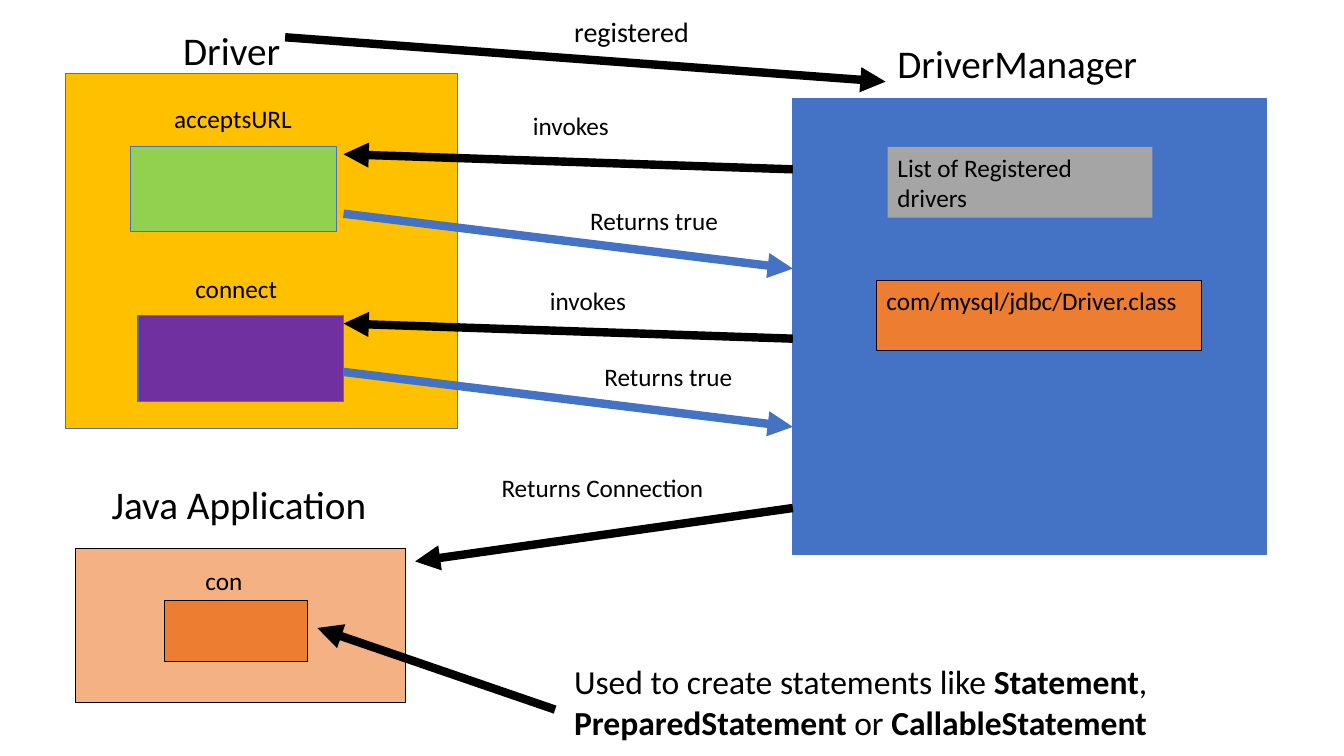
from lxml import etree
from pptx import Presentation
from pptx.dml.color import RGBColor
from pptx.enum.shapes import MSO_CONNECTOR, MSO_SHAPE
from pptx.enum.text import MSO_ANCHOR, PP_ALIGN
from pptx.oxml.ns import qn
from pptx.util import Inches, Pt

RECTANGLE = MSO_SHAPE.RECTANGLE
STRAIGHT = MSO_CONNECTOR.STRAIGHT
TOP, LEFT = MSO_ANCHOR.TOP, PP_ALIGN.LEFT

BLACK, BLUE, ORANGE = "000000", "4472C4", "ED7D31"
CELL = Inches(0.1)  # one column or row of the grid
HEADING, NOTE, STEP, LABEL = 28, 24, 20, 18


def color(hex_code):
    return RGBColor.from_string(hex_code)


def write(frame, *runs, size=LABEL, fill=BLACK, font="Calibri"):
    """Write runs into a frame; a run given as a tuple is bold."""
    frame.word_wrap = True
    frame.vertical_anchor = TOP
    paragraph = frame.paragraphs[0]
    paragraph.alignment = LEFT
    for part in runs:
        bold = isinstance(part, tuple)
        run = paragraph.add_run()
        run.text = part[0] if bold else part
        run.font.name, run.font.size, run.font.bold = font, Pt(size), bold
        run.font.color.rgb = color(fill)


class Diagram:
    def __init__(self, slide, cell=CELL, arrow_width=6, border_width=0.75):
        self.shapes = slide.shapes
        self.cell = cell
        self.arrow_width = Pt(arrow_width)
        self.border_width = Pt(border_width)

    def grid(self, *cells):
        return [round(count * self.cell) for count in cells]

    def box(self, place, fill, border=None, text=None):
        box = self.shapes.add_shape(RECTANGLE, *self.grid(*place))
        box.shadow.inherit = False
        box.fill.solid()
        box.fill.fore_color.rgb = color(fill)
        if border:
            box.line.color.rgb = color(border)
            box.line.width = self.border_width
        else:
            box.line.fill.background()
        if text:
            write(box.text_frame, text)

    def label(self, place, *runs, size=LABEL):
        label = self.shapes.add_textbox(*self.grid(*place))
        write(label.text_frame, *runs, size=size)

    def arrow(self, start, end, stroke=BLACK):
        arrow = self.shapes.add_connector(STRAIGHT, *self.grid(*start, *end))
        arrow.line.color.rgb = color(stroke)
        arrow.line.width = self.arrow_width
        head = etree.SubElement(arrow.line._get_or_add_ln(), qn("a:tailEnd"))
        head.set("type", "triangle")
        etree.SubElement(arrow._element.spPr, qn("a:effectLst"))


def main():
    deck = Presentation()
    deck.slide_width, deck.slide_height = Inches(13.34), Inches(7.5)
    diagram = Diagram(deck.slides.add_slide(deck.slide_layouts[6]))

    # The three parties
    parties = [
        ("Driver", (17.2, 2.1, 12, 5.7), (6.5, 7.3, 38.9, 35.2), "FFC000", BLUE),
        ("DriverManager", (88.1, 3.4, 30.7, 5.7), (78.7, 9.8, 47, 45.2), BLUE, BLUE),
        ("Java Application", (10.1, 47.2, 34.7, 5.7), (7.5, 54.4, 32.8, 15.3),
         "F4B183", BLACK),
    ]
    for name, heading_place, box_place, fill, border in parties:
        diagram.box(box_place, fill, border)
        diagram.label(heading_place, name, size=HEADING)

    # Driver methods, each a call from the manager and its answer
    manager_edge, driver_edge = 78.7, 34.1
    methods = [
        ("acceptsURL", 13, 16.3, "92D050", 21.2, (51.9, 10.5), (57.6, 19.9)),
        ("connect", 13.7, 18.4, "7030A0", 36.9, (53.6, 27.8), (59, 35.4)),
    ]
    for index, (name, left, name_left, fill, answer, call_at, answer_at) in enumerate(methods):
        down = 16.8 * index
        diagram.box((left, 14.5 + down, 20.4, 8.5), fill, BLUE)
        diagram.label((name_left, 9.8 + down, 15.2, 4), name)
        diagram.arrow((manager_edge, 16.8 + down), (driver_edge, 15.3 + down))
        diagram.label((*call_at, 11.9, 4), "invokes")
        diagram.arrow((driver_edge, answer), (manager_edge, answer + 5.45), BLUE)
        diagram.label((*answer_at, 17.8, 4), "Returns true")

    # Registered drivers inside the manager
    diagram.box((88.1, 14.6, 26.3, 7), "A5A5A5", text="List of Registered drivers")
    diagram.box((87, 27.8, 32.3, 7), ORANGE, BLACK, "com/mysql/jdbc/Driver.class")

    # Registration and the returned connection
    diagram.arrow((28.3, 3.7), (87.9, 8.1))
    diagram.label((56, 0.9, 26.5, 4.4), "registered", size=STEP)
    diagram.arrow((manager_edge, 50.4), (41.2, 55.7))
    diagram.label((48.8, 46.4, 24.6, 4), "Returns Connection")

    # The connection object and its use
    diagram.box((16.3, 59.6, 14.2, 6), ORANGE, BLACK)
    diagram.label((19.4, 55.6, 6.2, 4), "con")
    diagram.arrow((55.1, 70.4), (31.5, 62.3))
    diagram.label((56, 65.1, 74.7, 9), "Used to create statements like ", ("Statement",),
                  ", ", ("PreparedStatement",), " or ", ("CallableStatement",), size=NOTE)

    deck.save("out.pptx")


if __name__ == "__main__":
    main()
